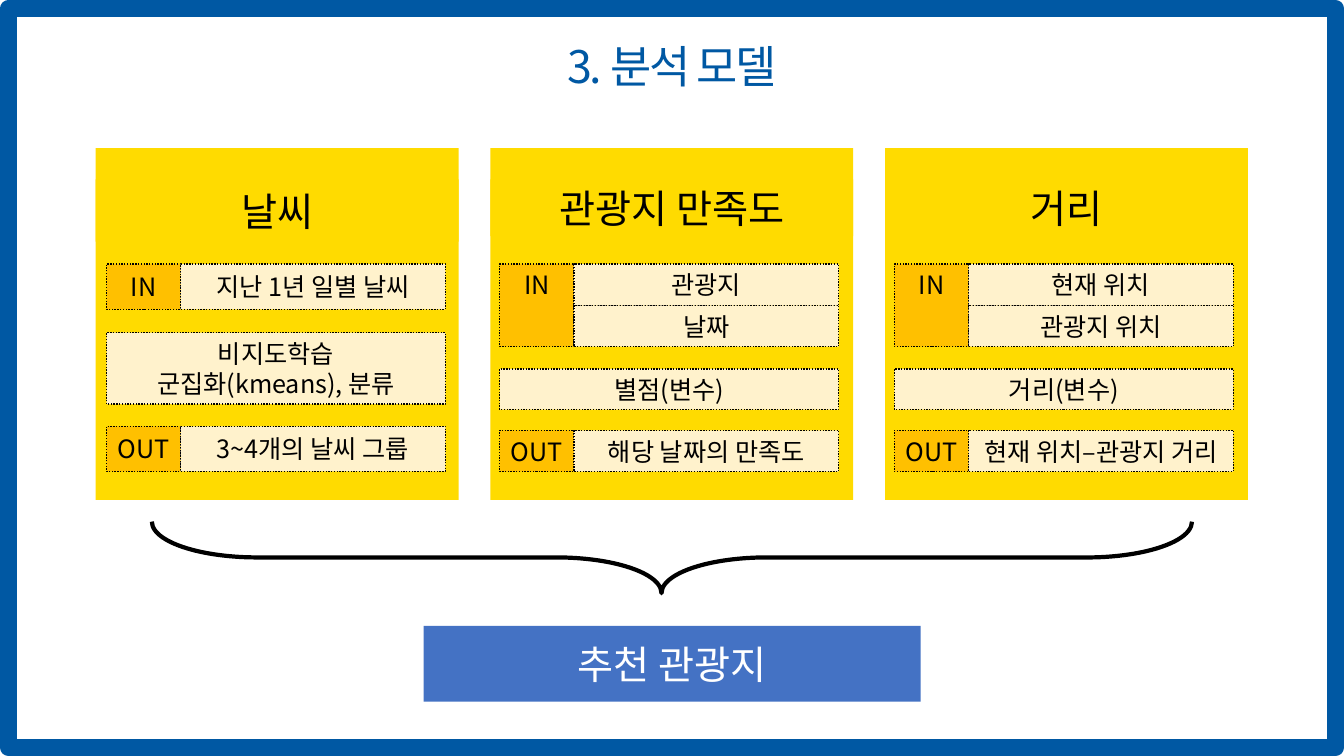
from pptx import Presentation
from pptx.dml.color import RGBColor
from pptx.enum.dml import MSO_LINE
from pptx.enum.shapes import MSO_SHAPE
from pptx.enum.text import MSO_ANCHOR, MSO_AUTO_SIZE, PP_ALIGN
from pptx.oxml.ns import qn
from pptx.util import Pt

NAVY = RGBColor(0x00, 0x58, 0xA3)
BLUE = RGBColor(0x44, 0x72, 0xC4)
GOLD = RGBColor(0xFF, 0xDB, 0x00)
AMBER = RGBColor(0xFF, 0xC0, 0x00)
CREAM = RGBColor(0xFF, 0xF2, 0xCC)
BLACK = RGBColor(0x00, 0x00, 0x00)
WHITE = RGBColor(0xFF, 0xFF, 0xFF)
FACE = "Noto Sans CJK KR"

FRAME = {"width": Pt(12)}
DOTS = {"width": Pt(1), "dash_style": MSO_LINE.ROUND_DOT}
THICK = {"width": Pt(3)}
HEAD = {"size": Pt(28), "name": FACE}
BODY = {"size": Pt(18), "name": FACE}
TITLE = {"size": Pt(32), "name": FACE}

TAG_W = 53
ROW_W = 242
CARD_W, CARD_H = 259.2, 251.3
CARD_X, CARD_Y, PITCH = 68.4, 105.8, 281.9

# Row places are (offset from card top, height of one row).
SHORT = {"inset": 7.7, "head": (22.3, 44.6), "in": (82.8, 32.4),
         "step": (131.8, 51.1), "out": (198.7, 32.3)}
TALL = {"inset": 6.7, "head": (22.3, 40.6), "in": (82.8, 29.5),
        "step": (157.7, 29.2), "out": (201.6, 29.5)}
CARDS = [
    ("날씨", ["지난 1년 일별 날씨"], ["비지도학습", "군집화(kmeans), 분류"],
     "3~4개의 날씨 그룹", SHORT),
    ("관광지 만족도", ["관광지", "날짜"], ["별점(변수)"],
     "해당 날짜의 만족도", TALL),
    ("거리", ["현재 위치", "관광지 위치"], ["거리(변수)"],
     "현재 위치–관광지 거리", TALL),
]


def apply(target, values):
    for key, value in values.items():
        setattr(target, key, value)


def write(shape, lines, style, color, anchor=MSO_ANCHOR.MIDDLE):
    frame = shape.text_frame
    apply(frame, {"text": "\n".join(lines), "word_wrap": True,
                  "auto_size": MSO_AUTO_SIZE.NONE, "vertical_anchor": anchor})
    for para in frame.paragraphs:
        para.alignment = PP_ALIGN.CENTER
        for run in para.runs:
            apply(run.font, style)
            run.font.color.rgb = color
            east = run.font._element.makeelement(qn("a:ea"), {"typeface": FACE})
            run.font._element.find(qn("a:latin")).addnext(east)


def draw(shapes, box, fill=None, line=None, ink=BLACK, kind=MSO_SHAPE.RECTANGLE):
    """Add a flat shape; box is left, top, width, height in points."""
    shape = shapes.add_shape(kind, *map(Pt, box))
    shape.shadow.inherit = False
    if fill is None:
        shape.fill.background()
    else:
        shape.fill.solid()
        shape.fill.fore_color.rgb = fill
    if line is None:
        shape.line.fill.background()
    else:
        shape.line.color.rgb = ink
        apply(shape.line, line)
    return shape


def add_row(shapes, box, tag, items):
    """Draw a tag cell beside a stack of item cells; box height is one item."""
    x, y, w, h = box
    anchor = MSO_ANCHOR.TOP if len(items) > 1 else MSO_ANCHOR.MIDDLE
    cell = draw(shapes, (x, y, TAG_W, h * len(items)), AMBER, DOTS)
    write(cell, [tag], BODY, BLACK, anchor)
    for i, item in enumerate(items):
        cell = draw(shapes, (x + TAG_W, y + i * h, w - TAG_W, h), CREAM, DOTS)
        write(cell, [item], BODY, BLACK)


def add_card(slide, box, name, inputs, step, result, plan):
    x, y, w, h = box
    shapes = slide.shapes.add_group_shape().shapes
    draw(shapes, box, GOLD)

    def place(part):
        top, tall = plan[part]
        return x + plan["inset"], y + top, ROW_W, tall

    top, tall = plan["head"]
    write(draw(shapes, (x, y + top, w, tall), GOLD), [name], HEAD, BLACK)
    add_row(shapes, place("in"), "IN", inputs)
    write(draw(shapes, place("step"), CREAM, DOTS), step, BODY, BLACK)
    add_row(shapes, place("out"), "OUT", [result])


def add_title(slide, box, text):
    title = slide.shapes.title
    apply(title, dict(zip(("left", "top", "width", "height"), map(Pt, box))))
    write(title, [text], TITLE, NAVY)
    para = title.text_frame.paragraphs[0]
    para.line_spacing = 0.9
    para.runs[0].font._element.set("spc", "-150")


def add_brace(slide, box):
    """Draw a brace that fills the box and points down."""
    x, y, w, h = box
    turned = (x + (w - h) / 2, y + (h - w) / 2, h, w)
    brace = draw(slide.shapes, turned, line=THICK, kind=MSO_SHAPE.RIGHT_BRACE)
    brace.rotation = 90
    brace.adjustments[0] = 1.47
    brace.adjustments[1] = 0.51


def add_goal(slide, box, text):
    write(draw(slide.shapes, box, BLUE), [text], HEAD, WHITE)


def main():
    deck = Presentation()
    deck.slide_width, deck.slide_height = Pt(960), Pt(540)
    slide = deck.slides.add_slide(deck.slide_layouts[5])
    draw(slide.shapes, (6, 6, 948, 534 - 6), line=FRAME, ink=NAVY)
    add_title(slide, (66, 28, 828, 42.5), "3. 분석 모델")
    for i, card in enumerate(CARDS):
        add_card(slide, (CARD_X + i * PITCH, CARD_Y, CARD_W, CARD_H), *card)
    add_goal(slide, (302.6, 447.1, 355, 54), "추천 관광지")
    add_brace(slide, (108.4, 372.6, 743, 51.1))
    deck.save("out.pptx")


if __name__ == "__main__":
    main()
